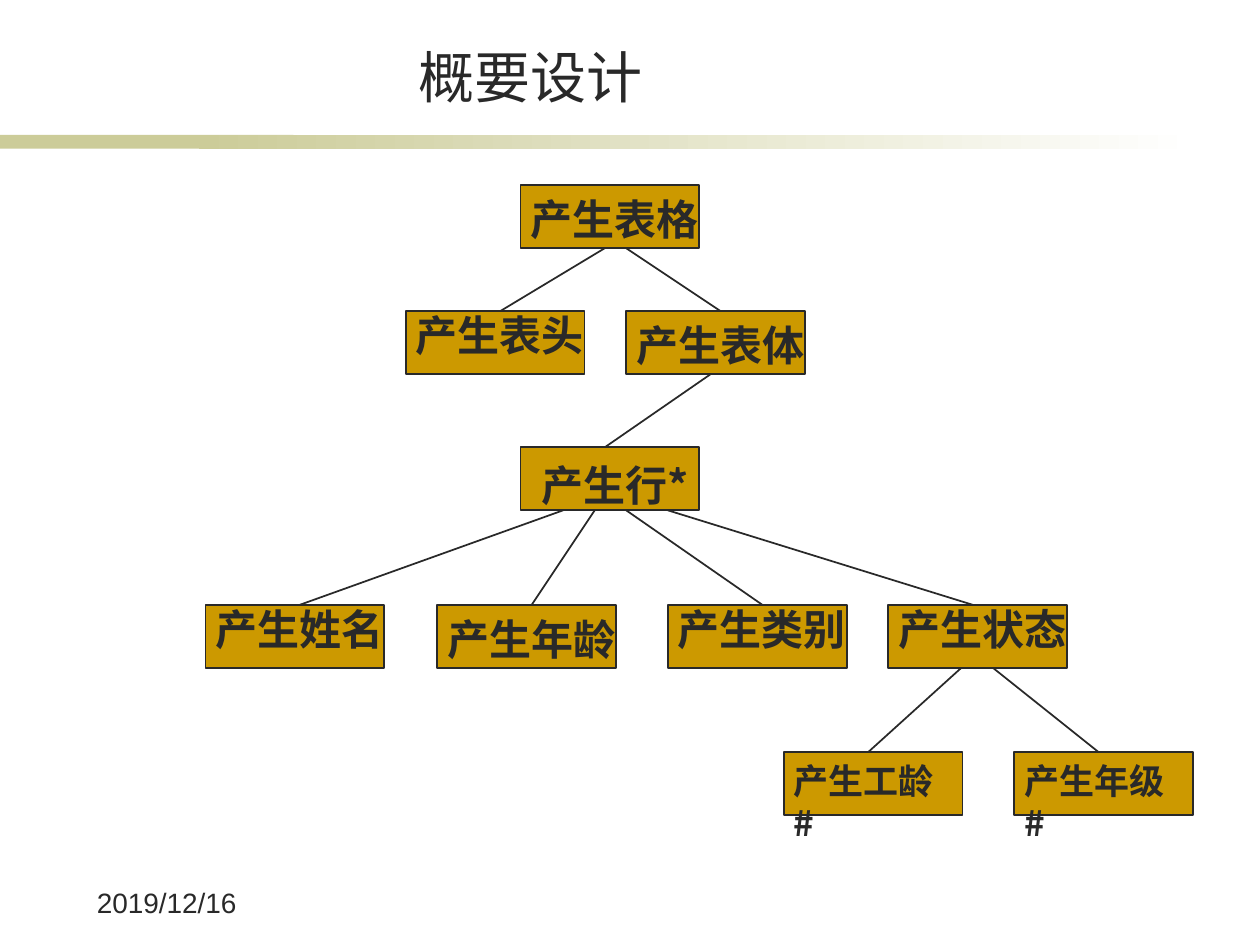
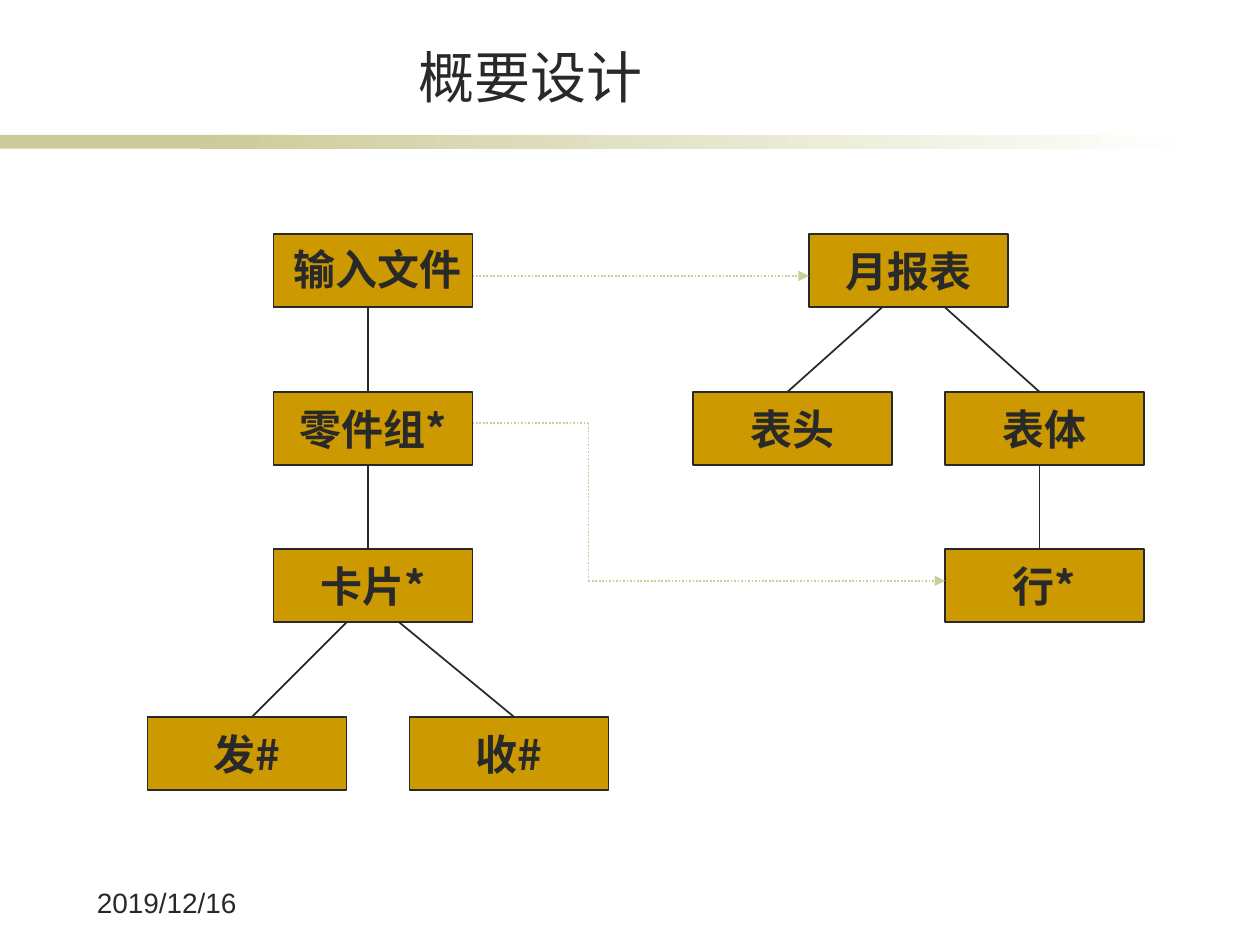
from lxml import etree
from pptx import Presentation
from pptx.dml.color import RGBColor
from pptx.enum import dml, shapes, text
from pptx.oxml.ns import qn
from pptx.util import Inches, Pt

COLORS = {"ink": "292929", "box": "CC9900", "band": "CCCC99", "paper": "FFFFFF"}
CJK, LATIN = "Noto Sans CJK SC", "Arial"
TOP_LABEL = (-0.02, -0.06, 1.56, 24)
MID_LABEL = (-0.02, 0.02, 1.56, 24)
ROW_LABEL = (0.07, 0.05, 1.38, 24)
SMALL_LABEL = (-0.02, 0.01, 1.46, 20)

TABLE_NODES = {
    "产生表格": (2.5, 0, MID_LABEL),
    "产生表头": (1.59, 1, TOP_LABEL),
    "产生表体": (3.34, 1, MID_LABEL),
    "产生行*": (2.5, 2.08, ROW_LABEL),
    "产生姓名": (0, 3.33, TOP_LABEL),
    "产生年龄": (1.84, 3.33, MID_LABEL),
    "产生类别": (3.67, 3.33, TOP_LABEL),
    "产生状态": (5.42, 3.33, TOP_LABEL),
    "产生工龄#": (4.59, 4.5, SMALL_LABEL),
    "产生年级#": (6.42, 4.5, SMALL_LABEL),
}
TABLE_EDGES = [
    ("产生表格", 0.67, "产生表头", 0.75),
    ("产生表格", 0.84, "产生表体", 0.75),
    ("产生表体", 0.67, "产生行*", 0.67),
    ("产生行*", 0.34, "产生姓名", 0.75),
    ("产生行*", 0.59, "产生年龄", 0.75),
    ("产生行*", 0.84, "产生类别", 0.75),
    ("产生行*", 1.17, "产生状态", 0.67),
    ("产生状态", 0.58, "产生工龄#", 0.67),
    ("产生状态", 0.83, "产生年级#", 0.67),
]
INPUT_NODES = {
    "输入文件": (1, 0, (0.06, 0.02, 1.56, 24)),
    "零件组*": (1, 1.25, None),
    "卡片*": (1, 2.5, None),
    "发#": (0, 3.83, None),
    "收#": (2.08, 3.83, None),
}
INPUT_EDGES = [
    ("输入文件", 0.75, "零件组*", 0.75),
    ("零件组*", 0.75, "卡片*", 0.75),
    ("卡片*", 0.58, "发#", 0.83),
    ("卡片*", 1, "收#", 0.83),
]
REPORT_NODES = {
    "月报表": (0.92, 0, None),
    "表头": (0, 1.25, None),
    "表体": (2, 1.25, None),
    "行*": (2, 2.5, None),
}
REPORT_EDGES = [
    ("月报表", 0.58, "表头", 0.75),
    ("月报表", 1.08, "表体", 0.75),
    ("表体", 0.75, "行*", 0.75),
]


def rgb(name):
    return RGBColor.from_string(COLORS[name])


def style_text(p, size, name, bold=False):
    p.font.size = Pt(size)
    p.font.name = name
    p.font.bold = bold
    p.font.color.rgb = rgb("ink")
    for r in p.runs:
        etree.SubElement(r._r.get_or_add_rPr(), qn("a:ea"), typeface=CJK)


def add_rect(slide, left, top, width, height, fill=None):
    sp = slide.shapes.add_shape(shapes.MSO_SHAPE.RECTANGLE, Inches(left), Inches(top),
                                Inches(width), Inches(height))
    sp.shadow.inherit = False
    sp.line.fill.background()
    if fill:
        sp.fill.solid()
        sp.fill.fore_color.rgb = rgb(fill)
    return sp


def add_label(slide, words, left, top, width, height, size, name, bold=False):
    tb = slide.shapes.add_textbox(Inches(left), Inches(top), Inches(width), Inches(height))
    tb.text_frame.word_wrap = True
    p = tb.text_frame.paragraphs[0]
    p.text = words
    style_text(p, size, name, bold)


def add_line(slide, start, end, color="ink", dotted=False, arrow=False):
    cx = slide.shapes.add_connector(shapes.MSO_CONNECTOR.STRAIGHT,
                                    *[Inches(v) for v in (*start, *end)])
    cx.line.color.rgb = rgb(color)
    cx.line.width = Pt(1)
    if dotted:
        cx.line.dash_style = dml.MSO_LINE.ROUND_DOT
    if arrow:
        etree.SubElement(cx.line._get_or_add_ln(), qn("a:tailEnd"), type="triangle")
    etree.SubElement(cx._element.spPr, qn("a:effectLst"))


def add_band(slide, left, top, height):
    add_rect(slide, left, top, 2.33, height, "band")
    fade = add_rect(slide, left + 1.58, top, 7.92, height)
    fade.fill.gradient()
    fade.fill.gradient_angle = 0
    for stop, color, position in zip(fade.fill.gradient_stops, ("band", "paper"), (0, 1)):
        stop.color.rgb = rgb(color)
        stop.position = position


def add_design_slide(prs):
    slide = prs.slides.add_slide(prs.slide_layouts[5])
    add_band(slide, 0, 1.07, 0.11)
    title = slide.shapes.title
    title.left, title.top = Inches(1.14), Inches(0.29)
    title.width, title.height = Inches(6.14), Inches(0.63)
    tf = title.text_frame
    tf.text = "概要设计"
    tf.vertical_anchor = text.MSO_ANCHOR.BOTTOM
    tf.paragraphs[0].alignment = text.PP_ALIGN.CENTER
    style_text(tf.paragraphs[0], 32, LATIN)
    add_label(slide, "2019/12/16", 0.67, 6.98, 1.41, 0.39, 16, LATIN)
    return slide


def add_tree(slide, left, top, width, height, nodes, edges):
    for name, (x, y, label) in nodes.items():
        sp = add_rect(slide, left + x, top + y, width, height, "box")
        sp.line.color.rgb = rgb("ink")
        sp.line.width = Pt(1)
        if label is None:
            tf = sp.text_frame
            tf.word_wrap = False
            tf.vertical_anchor = text.MSO_ANCHOR.MIDDLE
            p = tf.paragraphs[0]
            p.text = name
            p.alignment = text.PP_ALIGN.CENTER
            style_text(p, 24, CJK, True)
    for parent, exit_x, child, entry_x in edges:
        px, py, _ = nodes[parent]
        cx, cy, _ = nodes[child]
        add_line(slide, (left + px + exit_x, top + py + height),
                 (left + cx + entry_x, top + cy))
    for name, (x, y, label) in nodes.items():
        if label:
            dx, dy, label_width, size = label
            add_label(slide, name, left + x + dx, top + y + dy, label_width, 0.5,
                      size, CJK, True)


def add_flow(slide, points):
    last = len(points) - 2
    for i, (start, end) in enumerate(zip(points, points[1:])):
        add_line(slide, start, end, "band", dotted=True, arrow=i == last)


def main():
    prs = Presentation()
    prs.slide_width, prs.slide_height = Inches(10), Inches(7.5)

    table_slide = add_design_slide(prs)
    add_tree(table_slide, 1.63, 1.47, 1.42, 0.5, TABLE_NODES, TABLE_EDGES)

    mapping_slide = add_design_slide(prs)
    add_tree(mapping_slide, 1.17, 1.86, 1.58, 0.58, INPUT_NODES, INPUT_EDGES)
    add_tree(mapping_slide, 5.5, 1.86, 1.58, 0.58, REPORT_NODES, REPORT_EDGES)
    add_flow(mapping_slide, [(3.75, 2.19), (6.42, 2.19)])
    add_flow(mapping_slide, [(3.75, 3.36), (4.67, 3.36), (4.67, 4.61), (7.5, 4.61)])

    prs.save("out.pptx")


if __name__ == "__main__":
    main()
